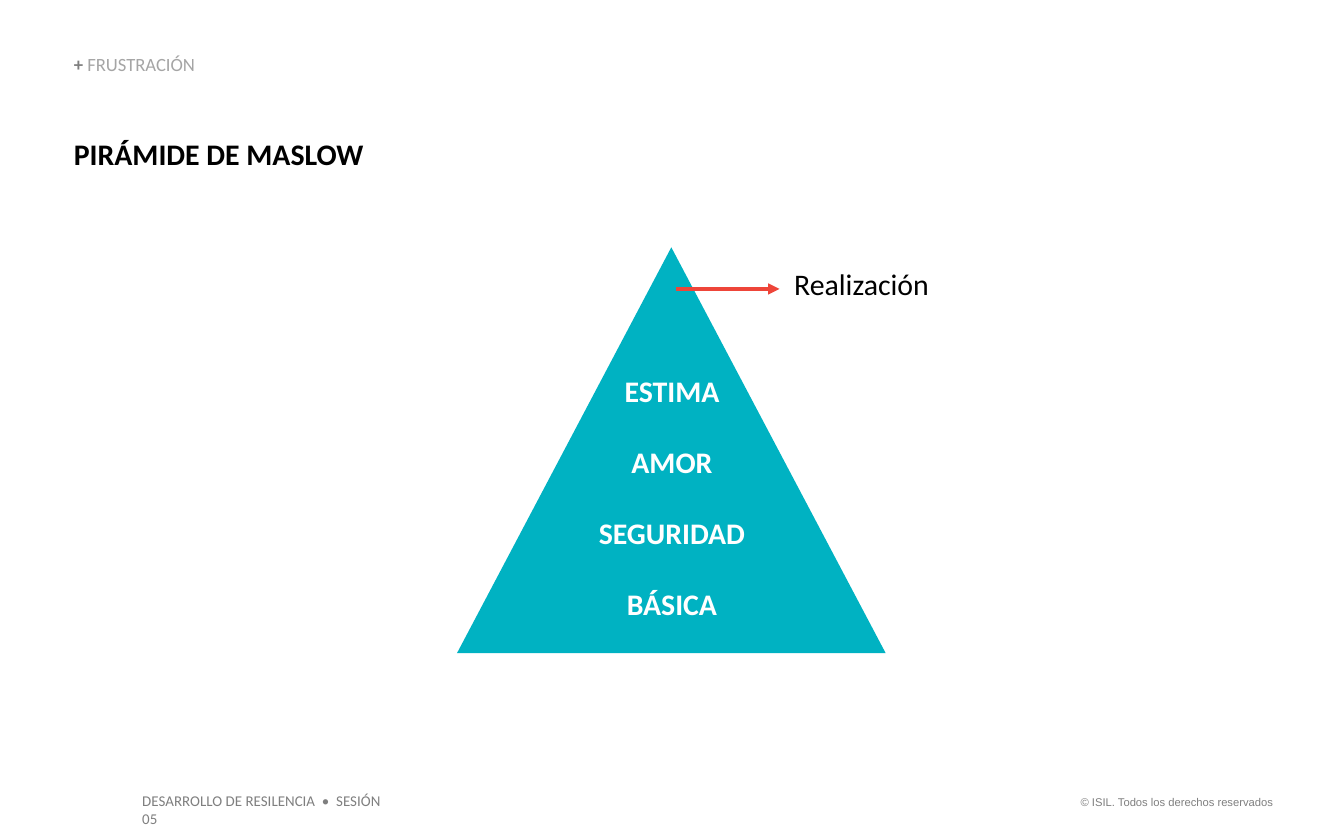
"""Build the Maslow pyramid slide."""
from lxml import etree
from pptx import Presentation
from pptx.dml.color import RGBColor
from pptx.enum.shapes import MSO_CONNECTOR, MSO_SHAPE
from pptx.enum.text import MSO_ANCHOR, MSO_AUTO_SIZE, PP_ALIGN
from pptx.oxml.ns import qn
from pptx.util import Inches, Pt

LEFT, CENTER, RIGHT = PP_ALIGN.LEFT, PP_ALIGN.CENTER, PP_ALIGN.RIGHT
TOP, BOTTOM = MSO_ANCHOR.TOP, MSO_ANCHOR.BOTTOM
NO_AUTOFIT = MSO_AUTO_SIZE.NONE
TRIANGLE = MSO_SHAPE.ISOSCELES_TRIANGLE
STRAIGHT = MSO_CONNECTOR.STRAIGHT

COLORS = {
    "heading": "000000",
    "level": "FFFFFF",
    "footer": "7F7F7F",
    "topic": "A5A5A5",
    "pyramid": "00B2C2",
    "arrow": "EE4539",
}
LEVELS = ["ESTIMA", "AMOR", "SEGURIDAD", "BÁSICA"]


def color(name):
    return RGBColor.from_string(COLORS[name])


def format_frame(frame, margins=(0, 0), anchor=TOP):
    side, end = map(Inches, margins)
    settings = {
        "word_wrap": True,
        "auto_size": NO_AUTOFIT,
        "vertical_anchor": anchor,
        "margin_left": side,
        "margin_right": side,
        "margin_top": end,
        "margin_bottom": end,
    }
    for name, value in settings.items():
        setattr(frame, name, value)


def add_run(paragraph, wording, color_name, size, bold=False, font="Calibri"):
    run = paragraph.add_run()
    run.text = wording
    for name, value in {"name": font, "size": Pt(size), "bold": bold}.items():
        setattr(run.font, name, value)
    run.font.color.rgb = color(color_name)


def add_label(slide, box, runs, align=LEFT, **frame_format):
    label = slide.shapes.add_textbox(*map(Inches, box))
    format_frame(label.text_frame, **frame_format)
    paragraph = label.text_frame.paragraphs[0]
    paragraph.alignment = align
    for run in runs:
        add_run(paragraph, *run)
    return paragraph


def place(placeholder, box):
    for name, value in zip(("left", "top", "width", "height"), box):
        setattr(placeholder, name, Inches(value))
    format_frame(placeholder.text_frame)


def fill_title(title):
    place(title, (0.55, 1.01, 2.79, 0.27))
    paragraph = title.text_frame.paragraphs[0]
    paragraph.alignment = LEFT
    add_run(paragraph, "PIRÁMIDE DE MASLOW", "heading", 16, True)


def fill_levels(body):
    place(body, (4.32, 2.77, 1.36, 1.88))
    for index, level in enumerate(LEVELS):
        frame = body.text_frame
        paragraph = frame.add_paragraph() if index else frame.paragraphs[0]
        properties = paragraph._p.get_or_add_pPr()
        properties.set("marL", "0")
        properties.set("indent", "0")
        etree.SubElement(properties, qn("a:buNone"))
        paragraph.alignment = CENTER
        paragraph.space_before = Pt(19 if index else 0)
        add_run(paragraph, level, "level", 16, True)


def add_pyramid(slide, box):
    pyramid = slide.shapes.add_shape(TRIANGLE, *map(Inches, box))
    pyramid.shadow.inherit = False
    pyramid.fill.solid()
    pyramid.fill.fore_color.rgb = color("pyramid")
    pyramid.line.fill.background()


def add_arrow(slide, ends):
    arrow = slide.shapes.add_connector(STRAIGHT, *map(Inches, ends))
    arrow.line.color.rgb = color("arrow")
    arrow.line.width = Pt(2)
    etree.SubElement(arrow.line._get_or_add_ln(), qn("a:tailEnd"), type="triangle")
    etree.SubElement(arrow._element.spPr, qn("a:effectLst"))


def main():
    deck = Presentation()
    deck.slide_width, deck.slide_height = Inches(10), Inches(6.25)
    slide = deck.slides.add_slide(deck.slide_layouts[1])
    title, levels = slide.placeholders

    add_pyramid(slide, (3.4, 1.84, 3.19, 3.02))
    slide.shapes._spTree.append(levels._element)
    fill_title(title)
    fill_levels(levels)

    topic = add_label(slide, (0.55, 0.41, 2.66, 0.15),
                      [("+ ", "footer", 10, True), ("FRUSTRACIÓN", "topic", 10)],
                      anchor=BOTTOM)
    topic.line_spacing = 0.9
    add_label(slide, (5.91, 1.98, 1.2, 0.27), [("Realización", "heading", 16)])
    add_arrow(slide, (5.03, 2.15, 5.8, 2.15))

    add_label(slide, (0.96, 5.84, 2.11, 0.24),
              [("DESARROLLO DE RESILENCIA  •  SESIÓN 05", "footer", 8)],
              margins=(0.1, 0.05))
    add_label(slide, (7.88, 5.87, 1.69, 0.2),
              [("© ISIL. Todos los derechos reservados", "footer", 6, False, "Arial")],
              RIGHT, margins=(0.1, 0.05))
    deck.save("out.pptx")


if __name__ == "__main__":
    main()
